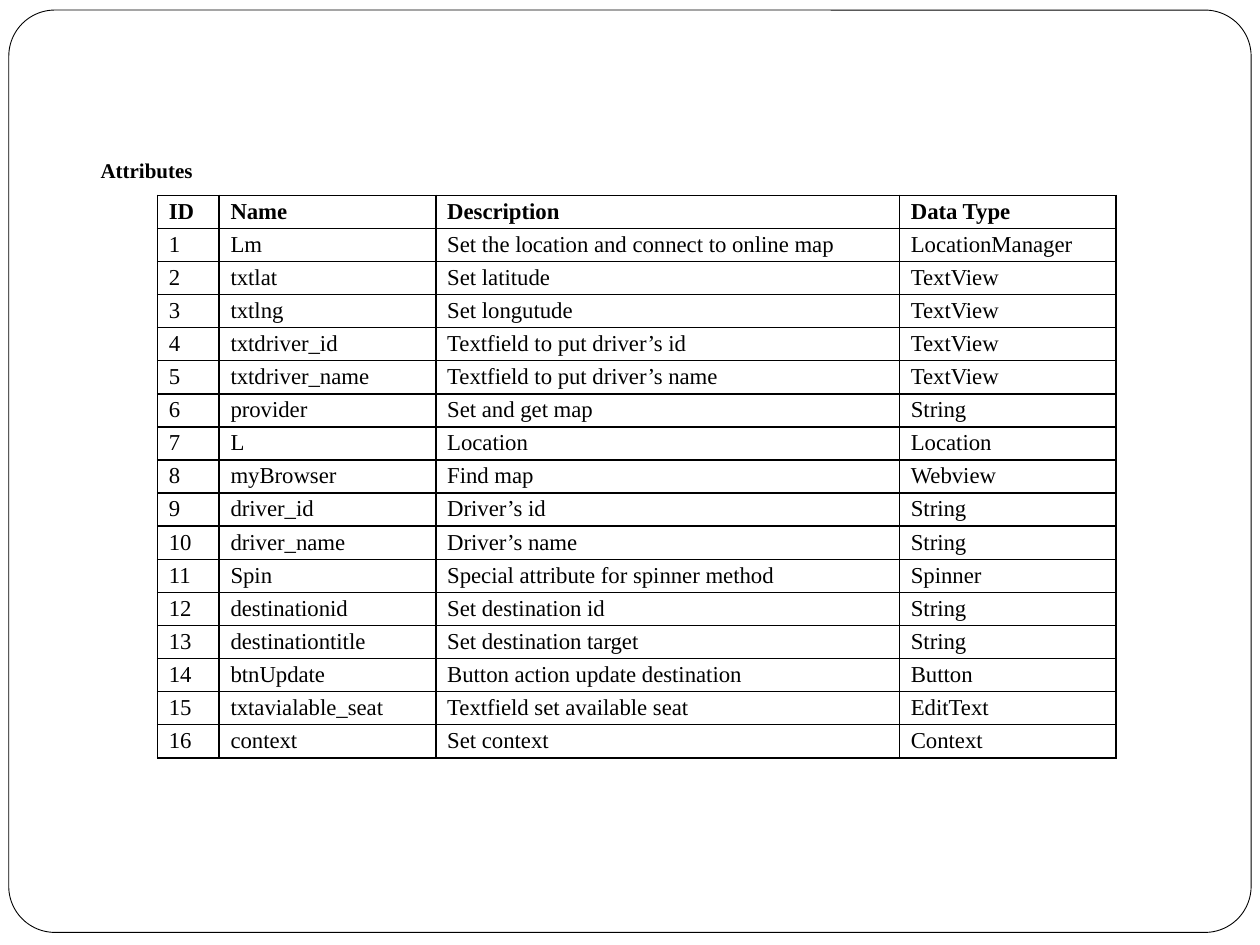
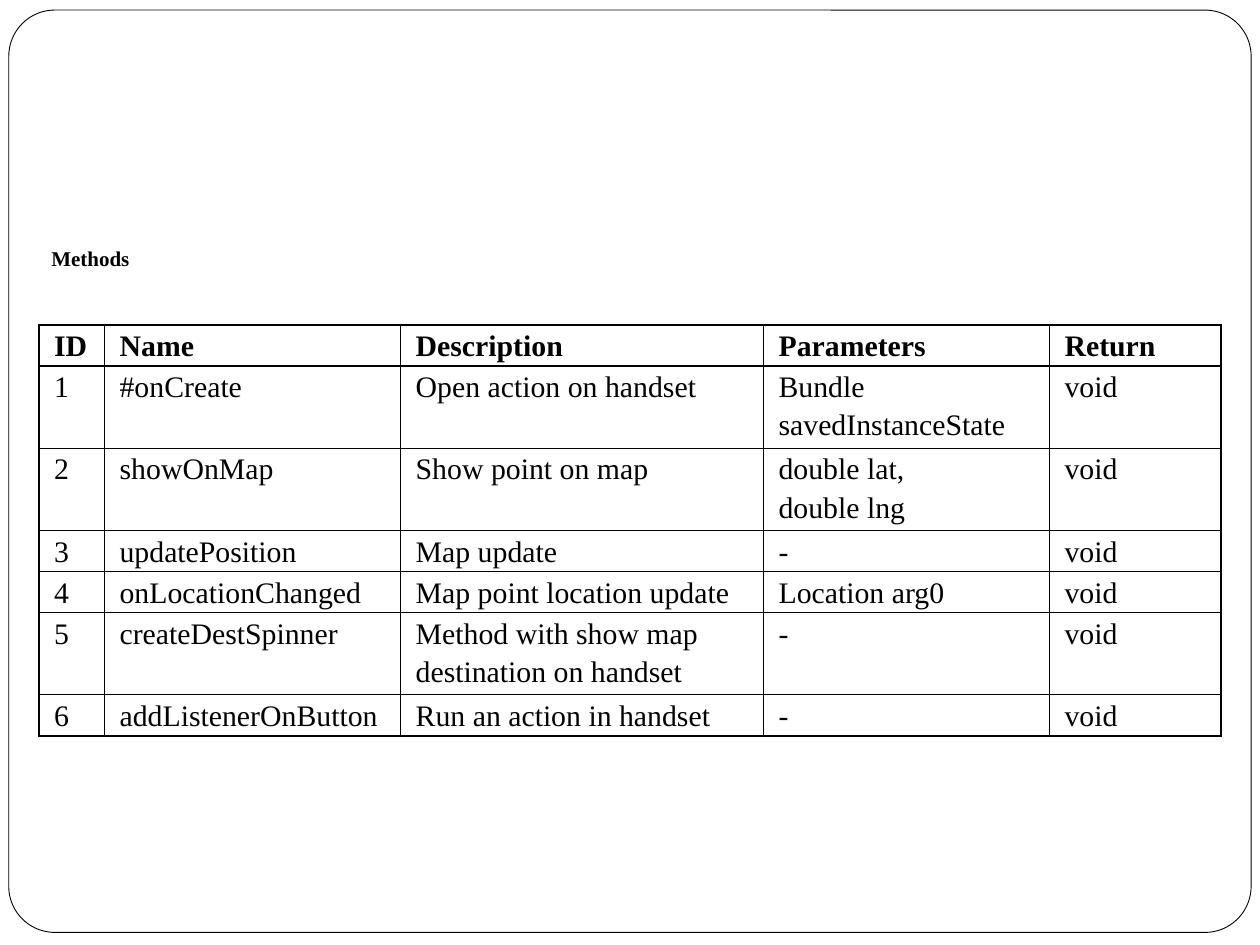
import lxml.etree
import pptx
import pptx.dml.color
import pptx.enum.shapes
import pptx.enum.text
import pptx.oxml.ns
import pptx.util

Inches = pptx.util.Inches
Pt = pptx.util.Pt
ALIGN = pptx.enum.text.PP_ALIGN

COLORS = {"paper": "FFFFFF", "ink": "000000"}
FONT = "Times New Roman"

ATTRIBUTES = [
    ("ID", "Name", "Description", "Data Type"),
    ("1", "Lm", "Set the location and connect to online map", "LocationManager"),
    ("2", "txtlat", "Set latitude", "TextView"),
    ("3", "txtlng", "Set longutude", "TextView"),
    ("4", "txtdriver_id", "Textfield to put driver’s id", "TextView"),
    ("5", "txtdriver_name", "Textfield to put driver’s name", "TextView"),
    ("6", "provider", "Set and get map", "String"),
    ("7", "L", "Location", "Location"),
    ("8", "myBrowser", "Find map", "Webview"),
    ("9", "driver_id", "Driver’s id", "String"),
    ("10", "driver_name", "Driver’s name", "String"),
    ("11", "Spin", "Special attribute for spinner method", "Spinner"),
    ("12", "destinationid", "Set destination id", "String"),
    ("13", "destinationtitle", "Set destination target", "String"),
    ("14", "btnUpdate", "Button action update destination", "Button"),
    ("15", "txtavialable_seat", "Textfield set available seat", "EditText"),
    ("16", "context", "Set context", "Context"),
]

METHODS = [
    ("ID", "Name", "Description", "Parameters", "Return"),
    ("1", "#onCreate", "Open action on handset", "Bundle savedInstanceState", "void"),
    ("2", "showOnMap", "Show point on map", "double lat,\ndouble lng", "void"),
    ("3", "updatePosition", "Map update", "-", "void"),
    ("4", "onLocationChanged", "Map point location update", "Location arg0", "void"),
    ("5", "createDestSpinner", "Method with show map destination on handset", "-", "void"),
    ("6", "addListenerOnButton", "Run an action in handset", "-", "void"),
]


def color(name):
    return pptx.dml.color.RGBColor.from_string(COLORS[name])


def add_span(para, text, size, bold):
    span = para.add_run()
    span.text = text
    span.font.name = FONT
    span.font.size = Pt(size)
    span.font.bold = bold
    span.font.color.rgb = color("ink")


def add_frame(page):
    frame = page.shapes.add_shape(
        pptx.enum.shapes.MSO_SHAPE.ROUNDED_RECTANGLE,
        Inches(0.07), Inches(0.08), Inches(9.86), Inches(7.32))
    frame.adjustments[0] = 0.05
    frame.shadow.inherit = False
    frame.fill.solid()
    frame.fill.fore_color.rgb = color("paper")
    frame.line.color.rgb = color("ink")
    frame.line.width = Pt(0.5)


def add_heading(page, text, left, top):
    box = page.shapes.add_textbox(Inches(left), Inches(top), Inches(3), Inches(0.5))
    box.text_frame.word_wrap = True
    box.text_frame.vertical_anchor = pptx.enum.text.MSO_ANCHOR.MIDDLE
    add_span(box.text_frame.paragraphs[0], text, 12, True)


def add_borders(cell):
    properties = cell._tc.get_or_add_tcPr()
    qn = pptx.oxml.ns.qn
    for side in ("a:lnL", "a:lnR", "a:lnT", "a:lnB"):
        line = lxml.etree.SubElement(properties, qn(side), w=str(Pt(1)))
        fill = lxml.etree.SubElement(line, qn("a:solidFill"))
        lxml.etree.SubElement(fill, qn("a:srgbClr"), val=COLORS["ink"])


def fill_cell(cell, text, size, inset, is_header):
    add_borders(cell)
    cell.fill.background()
    cell.margin_left = cell.margin_right = Inches(inset)
    cell.margin_top = cell.margin_bottom = 0
    for index, line in enumerate(text.split("\n")):
        frame = cell.text_frame
        para = frame.add_paragraph() if index else frame.paragraphs[0]
        para.alignment = ALIGN.JUSTIFY if is_header else ALIGN.LEFT
        para.line_spacing = 1.15
        add_span(para, line, size, is_header)


def add_grid(page, rows, left, top, widths, line_height, size, inset, tall_rows=()):
    heights = [line_height * (2 if index in tall_rows else 1) for index in range(len(rows))]
    table = page.shapes.add_table(
        len(rows), len(widths), Inches(left), Inches(top),
        Inches(sum(widths)), Inches(sum(heights))).table
    table.first_row = table.horz_banding = False
    for column, width in zip(table.columns, widths):
        column.width = Inches(width)
    for row_index, values in enumerate(rows):
        table.rows[row_index].height = Inches(heights[row_index])
        for column_index, text in enumerate(values):
            fill_cell(table.cell(row_index, column_index), text, size, inset, row_index == 0)


def add_page(deck):
    page = deck.slides.add_slide(deck.slide_layouts[6])
    add_frame(page)
    return page


def build_attributes(deck):
    page = add_page(deck)
    add_grid(page, ATTRIBUTES, 1.25, 1.55, (0.49, 1.72, 3.68, 1.72),
             line_height=4.47 / len(ATTRIBUTES), size=13, inset=0.09)
    add_heading(page, "Attributes", 0.7, 1.1)


def build_methods(deck):
    page = add_page(deck)
    tall_rows = (1, 2, 5)
    line_height = 3.26 / (len(METHODS) + len(tall_rows))
    add_grid(page, METHODS, 0.31, 2.58, (0.52, 2.35, 2.88, 2.27, 1.36),
             line_height, size=17, inset=0.12, tall_rows=tall_rows)
    add_heading(page, "Methods", 0.31, 1.8)


def main():
    deck = pptx.Presentation()
    deck.slide_width = Inches(10)
    deck.slide_height = Inches(7.5)
    build_attributes(deck)
    build_methods(deck)
    deck.save("out.pptx")


if __name__ == "__main__":
    main()
